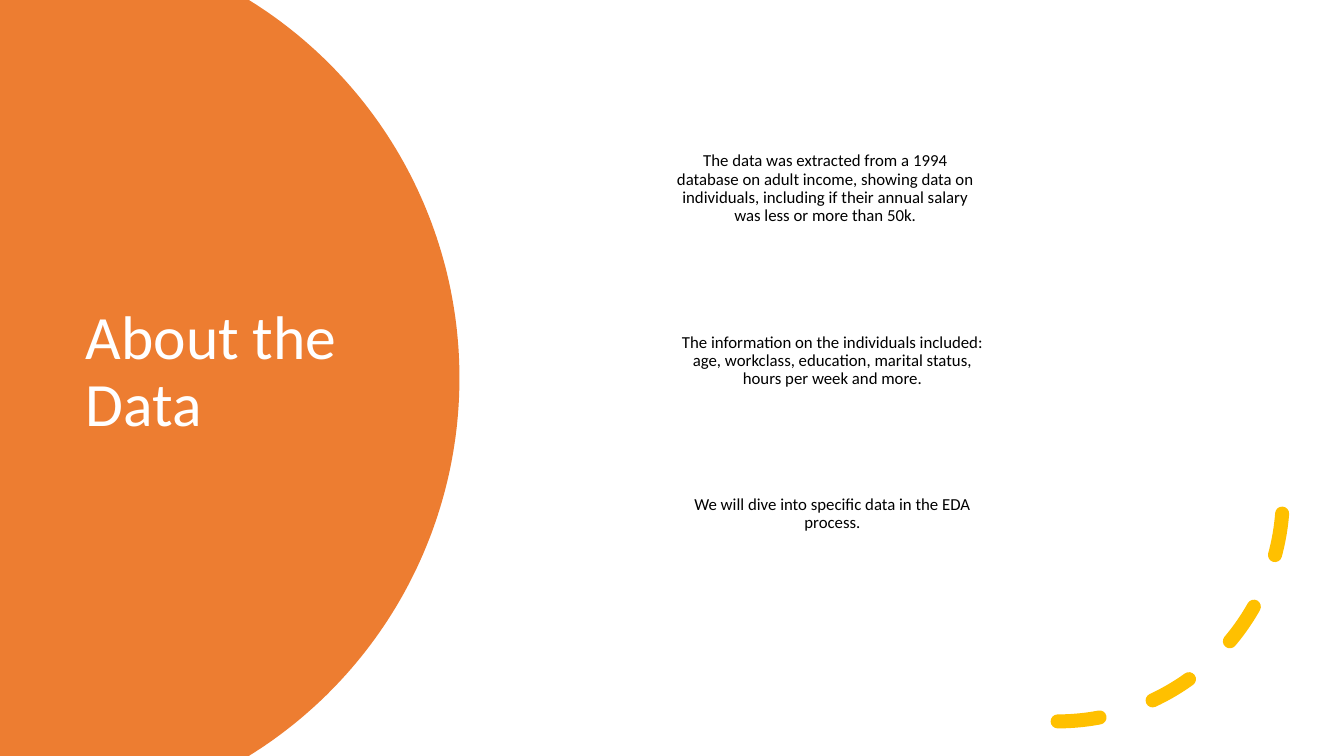
from dataclasses import dataclass
from math import asin, cos, sin

from pptx import Presentation
from pptx.dml.color import RGBColor
from pptx.enum.dml import MSO_LINE
from pptx.enum.shapes import MSO_SHAPE
from pptx.enum.text import MSO_ANCHOR as Anchor, PP_ALIGN as Align
from pptx.oxml.ns import qn
from pptx.slide import Slide
from pptx.util import Cm, Pt

WIDTH, HEIGHT = 33.87, 19.05
ORANGE, YELLOW, WHITE, BLACK = "ED7D31", "FFC000", "FFFFFF", "000000"


@dataclass
class TextItem:
    text: str
    left: float
    top: float
    width: float = 7.72
    height: float = 2.01
    size: float = 12
    color: str = BLACK
    align: Align = Align.CENTER
    anchor: Anchor = Anchor.TOP
    inset_x: float = 0
    inset_y: float = 0
    space_after: float = 4.2


ITEMS = [
    TextItem("About the Data", 1.91, 3.2, 8.89, 12.4, 44, WHITE,
             Align.LEFT, Anchor.MIDDLE, 0.25, 0.13, 0),
    TextItem("The data was extracted from a 1994 database on adult income, "
             "showing data on individuals, including if their annual salary "
             "was less or more than 50k.", 16.94, 3.84),
    TextItem("The information on the individuals included: age, workclass, "
             "education, marital status, hours per week and more.", 17.12, 8.41),
    TextItem("We will dive into specific data in the EDA process.", 17.12, 12.5),
]


def rgb(color: str) -> RGBColor:
    return RGBColor.from_string(color)


def add_disc(s: Slide, center_x: float, radius: float, steps: int = 120) -> None:
    half = HEIGHT / 2
    limit = asin(half / radius)
    angles = [limit * (2 * i / steps - 1) for i in range(steps + 1)]
    rim = [(Cm(center_x + radius * cos(a)), Cm(half + radius * sin(a))) for a in angles]
    fb = s.shapes.build_freeform(0, 0)
    fb.add_line_segments(rim + [(0, Cm(HEIGHT))], close=True)
    sp = fb.convert_to_shape()
    sp.shadow.inherit = False
    sp.fill.solid()
    sp.fill.fore_color.rgb = rgb(ORANGE)
    sp.line.fill.background()


def add_dashed_arc(s: Slide, left: float, top: float, size: float) -> None:
    sp = s.shapes.add_shape(MSO_SHAPE.ARC, Cm(left), Cm(top), Cm(size), Cm(size))
    sp.shadow.inherit = False
    sp.fill.background()
    sp.line.color.rgb = rgb(YELLOW)
    sp.line.width = Pt(10)
    sp.line.dash_style = MSO_LINE.DASH
    pr = sp.element.spPr
    pr.find(qn("a:xfrm")).set("flipV", "1")
    pr.find(qn("a:ln")).set("cap", "rnd")


def add_text(s: Slide, item: TextItem) -> None:
    sp = s.shapes.add_textbox(Cm(item.left), Cm(item.top), Cm(item.width), Cm(item.height))
    tf = sp.text_frame
    tf.word_wrap = True
    tf.vertical_anchor = item.anchor
    tf.margin_left = tf.margin_right = Cm(item.inset_x)
    tf.margin_top = tf.margin_bottom = Cm(item.inset_y)
    p = tf.paragraphs[0]
    p.alignment = item.align
    p.line_spacing = 0.9
    p.space_after = Pt(item.space_after)
    r = p.add_run()
    r.text = item.text
    r.font.name = "Calibri"
    r.font.size = Pt(item.size)
    r.font.color.rgb = rgb(item.color)


def main() -> None:
    prs = Presentation()
    prs.slide_width, prs.slide_height = Cm(WIDTH), Cm(HEIGHT)
    s = prs.slides.add_slide(prs.slide_layouts[6])
    add_disc(s, 0.38, 11.2)
    add_dashed_arc(s, 20.98, 6.83, 11.35)
    for item in ITEMS:
        add_text(s, item)
    prs.save("out.pptx")


if __name__ == "__main__":
    main()
